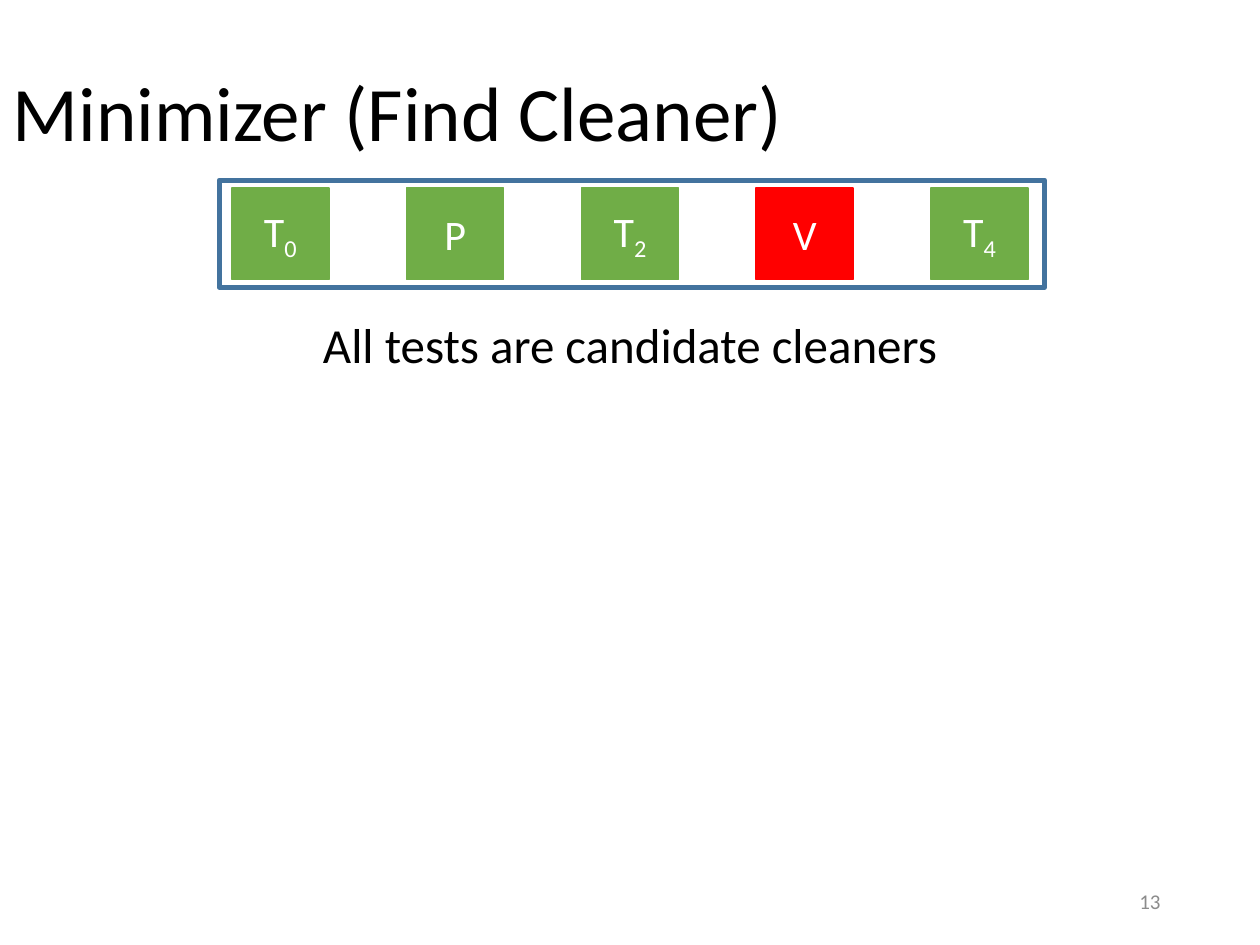
import pptx
import pptx.dml.color
import pptx.enum.shapes
import pptx.enum.text
import pptx.util

RGBColor = pptx.dml.color.RGBColor
Inches = pptx.util.Inches
ALIGN = pptx.enum.text.PP_ALIGN
ANCHOR = pptx.enum.text.MSO_ANCHOR

BLACK = RGBColor(0x00, 0x00, 0x00)
WHITE = RGBColor(0xFF, 0xFF, 0xFF)
GRAY = RGBColor(0x8C, 0x8C, 0x8C)
BLUE = RGBColor(0x43, 0x73, 0x9E)
GREEN = RGBColor(0x70, 0xAD, 0x47)
RED = RGBColor(0xFF, 0x00, 0x00)

WIDTH, HEIGHT = 10, 7.5
TESTS = [("T", "0", GREEN), ("P", "", GREEN), ("T", "2", GREEN),
         ("V", "", RED), ("T", "4", GREEN)]


def write(shape, text, subscript="", size=24, color=BLACK,
          align=ALIGN.CENTER, anchor=ANCHOR.MIDDLE, spacing=1.0):
    frame = shape.text_frame
    frame.word_wrap = True
    frame.auto_size = pptx.enum.text.MSO_AUTO_SIZE.NONE
    frame.vertical_anchor = anchor
    para = frame.paragraphs[0]
    para.alignment = align
    para.line_spacing = spacing
    for part in filter(None, (text, subscript)):
        span = para.add_run()
        span.text = part
        span.font.name = "Calibri"
        span.font.size = pptx.util.Pt(size)
        span.font.color.rgb = color
    if subscript:
        span.font._element.set("baseline", "-25000")


def add_rectangle(page, box, line, line_width, fill=None):
    shape = page.shapes.add_shape(
        pptx.enum.shapes.MSO_SHAPE.RECTANGLE, *map(Inches, box))
    shape.shadow.inherit = False
    if fill is None:
        shape.fill.background()
    else:
        shape.fill.solid()
        shape.fill.fore_color.rgb = fill
    shape.line.color.rgb = line
    shape.line.width = pptx.util.Pt(line_width)
    return shape


def add_title(page, box, text):
    title = page.shapes.title
    title.left, title.top, title.width, title.height = map(Inches, box)
    write(title, text, size=44, align=ALIGN.LEFT, spacing=0.9)


def add_text(page, box, text, **text_format):
    write(page.shapes.add_textbox(*map(Inches, box)), text, **text_format)


def add_test_row(page, box):
    """Draw the framed row of test tiles, evenly spaced inside the box."""
    left, top, width, height = box
    add_rectangle(page, box, BLUE, 3)
    tile_width, tile_height = 0.77, 0.73
    first, last = left + 0.1, left + width - 0.13 - tile_width
    pitch = (last - first) / (len(TESTS) - 1)
    tile_top = top + (height - tile_height) / 2
    for column, (name, subscript, color) in enumerate(TESTS):
        tile_box = (first + column * pitch, tile_top, tile_width, tile_height)
        tile = add_rectangle(page, tile_box, color, 1, fill=color)
        write(tile, name, subscript, color=WHITE)


def main():
    deck = pptx.Presentation()
    deck.slide_width, deck.slide_height = Inches(WIDTH), Inches(HEIGHT)
    page = deck.slides.add_slide(deck.slide_layouts.get_by_name("Title Only"))
    add_title(page, (0, 0, WIDTH, 1.85), "Minimizer (Find Cleaner)")
    add_text(page, (7.06, 6.95, 2.25, 0.4), "13",
             size=12, color=GRAY, align=ALIGN.RIGHT)
    add_test_row(page, (1.74, 1.43, 6.55, 0.85))
    add_text(page, (2.32, 2.45, 5.36, 0.57), "All tests are candidate cleaners",
             size=28, anchor=ANCHOR.TOP)
    deck.save("out.pptx")


if __name__ == "__main__":
    main()
